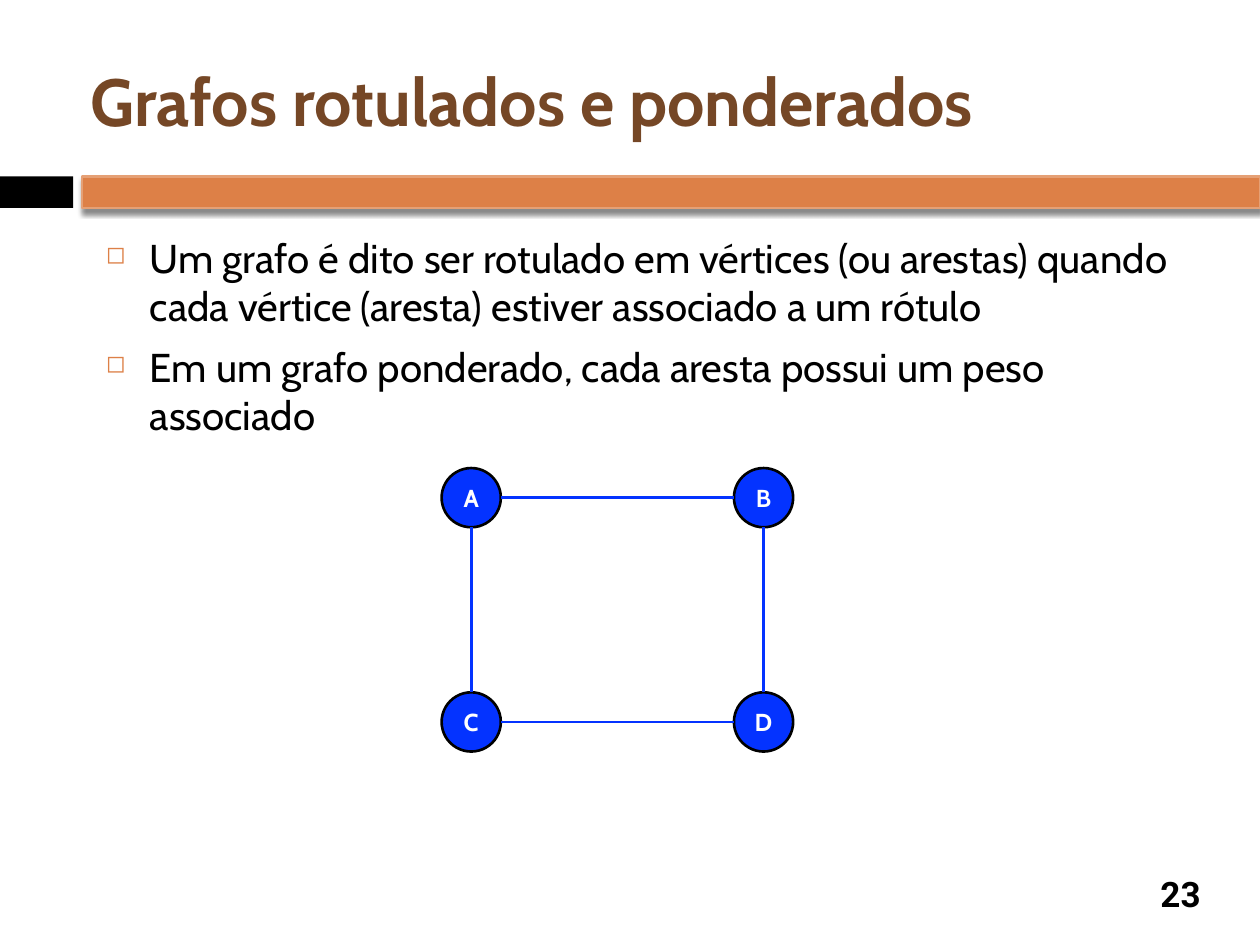
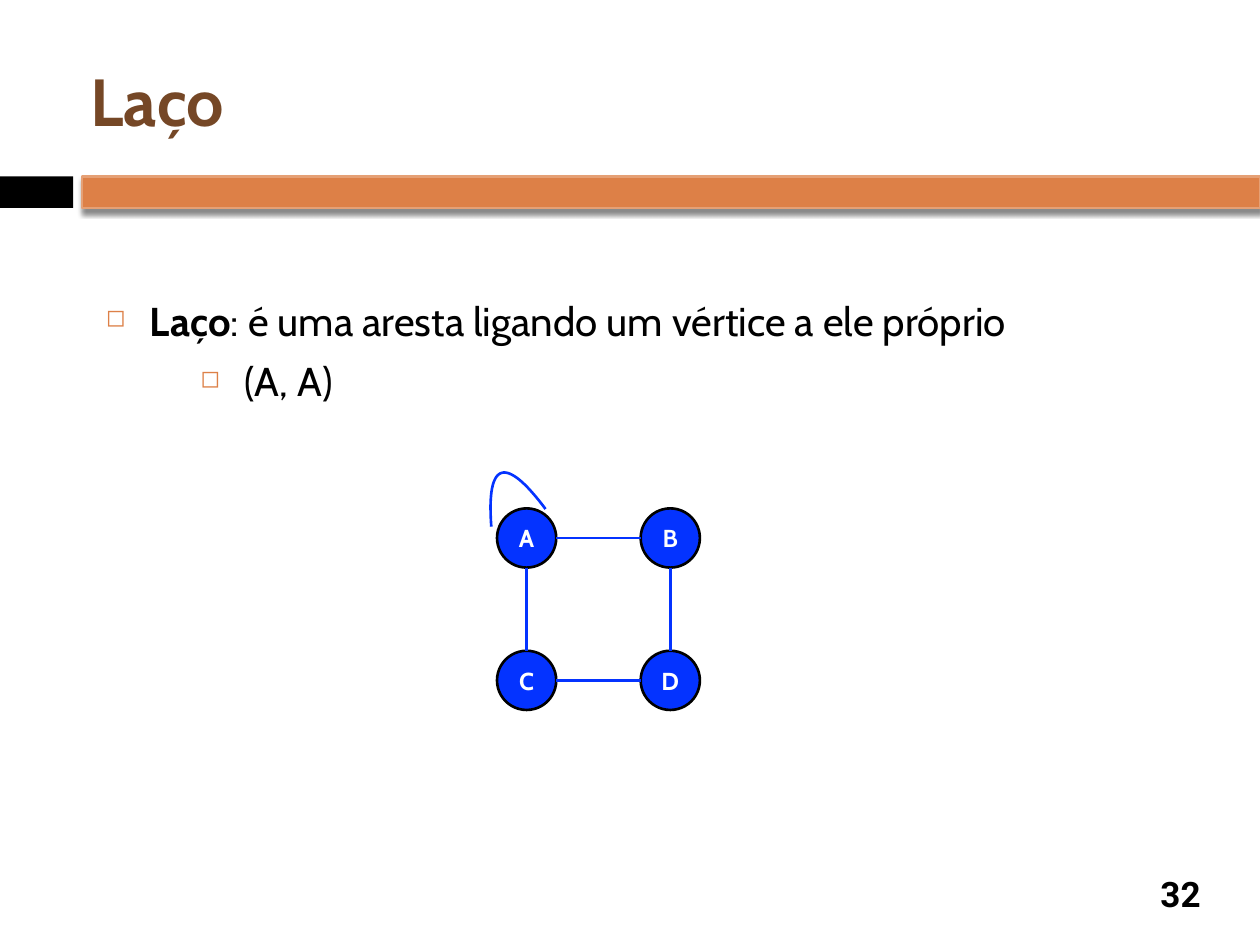
import pptx
import pptx.util
import pptx.dml.color
import pptx.enum.shapes
import pptx.enum.text
import pptx.oxml.ns
from lxml import etree

# Content: body runs are (text, bold), node centres come from a 2 x 2 grid
SLIDES = [
    dict(title="Grafos rotulados e ponderados", number="23", body_top=1.8, body_height=1.45,
         body=[(0, [("Um grafo é dito ser rotulado em vértices (ou arestas) quando "
                     "cada vértice (aresta) estiver associado a um rótulo", False)]),
               (0, [("Em um grafo ponderado, cada aresta possui um peso associado", False)])],
         origin=(3.74, 3.95), pitch=(2.32, 1.78), loop=None),
    dict(title="Laço", number="32", body_top=2.3, body_height=1.25,
         body=[(0, [("Laço", True), (": é uma aresta ligando um vértice a ele próprio", False)]),
               (1, [("(A, A)", False)])],
         origin=(4.18, 4.27), pitch=(1.14, 1.13),
         loop=[(4.33, 4.04), (4.01, 3.61), (3.86, 3.66), (3.9, 4.18)]),
]
NODES = {"A": (0, 0), "B": (1, 0), "C": (0, 1), "D": (1, 1)}
EDGES = ["AB", "CD", "AC", "BD"]

THEME = dict(
    font="Cabin", number_font="Roboto",
    title="754726", text="000000", accent="DD8047", accent_line="E5A075",
    node="0433FF", node_text="FFFFFF",
    title_size=38, body_size=23, number_size=20, node_size=14, line=1.5,
)
WIDTH, HEIGHT = 10, 7.5
BAND_TOP, BAND_HEIGHT, BAND_SPLIT = 1.4, 0.25, (0.58, 0.65)
NODE = 0.47
INSET = 0.05
LEVEL_INDENT, HANGING = (0.35, 1.1), 0.35

Inches, Pt = pptx.util.Inches, pptx.util.Pt
SHAPE = pptx.enum.shapes.MSO_SHAPE
CENTER = pptx.enum.text.PP_ALIGN.CENTER
MIDDLE = pptx.enum.text.MSO_ANCHOR.MIDDLE


def rgb(name):
    return pptx.dml.color.RGBColor.from_string(THEME[name])


def add_xml(parent, tag, **attributes):
    return etree.SubElement(parent, pptx.oxml.ns.qn(tag), attributes)


def set_line(line, color):
    line.color.rgb = rgb(color)
    line.width = Pt(THEME["line"])


def style(r, size, color, bold=True, font="font"):
    r.font.name, r.font.size, r.font.bold = THEME[font], Pt(THEME[size]), bold
    r.font.color.rgb = rgb(color)


def prepare(sp, anchor=MIDDLE):
    tf = sp.text_frame
    tf.word_wrap, tf.vertical_anchor = True, anchor
    tf.margin_left = tf.margin_right = tf.margin_top = tf.margin_bottom = Inches(INSET)
    return tf


def add_text(s, *box, anchor=MIDDLE):
    return prepare(s.shapes.add_textbox(*map(Inches, box)), anchor)


def add_shape(s, kind, box, fill, line=None):
    sp = s.shapes.add_shape(kind, *map(Inches, box))
    sp.fill.solid()
    sp.fill.fore_color.rgb = rgb(fill)
    if line:
        set_line(sp.line, line)
    else:
        sp.line.fill.background()
    sp.shadow.inherit = False
    return sp


def add_frame(s, title, number):
    # Two-part band under the title
    gap_left, gap_right = BAND_SPLIT
    add_shape(s, SHAPE.RECTANGLE, (0, BAND_TOP, gap_left, BAND_HEIGHT), "text")
    band = add_shape(s, SHAPE.RECTANGLE, (gap_right, BAND_TOP, WIDTH - gap_right, BAND_HEIGHT),
                     "accent", "accent_line")
    effects = band._element.spPr.find(pptx.oxml.ns.qn("a:effectLst"))
    shadow = add_xml(effects, "a:outerShdw", blurRad=str(Pt(3)), dist=str(Pt(2.4)),
                     dir="5400000", rotWithShape="0")
    add_xml(add_xml(shadow, "a:srgbClr", val=THEME["text"]), "a:alpha", val="45000")
    # Title and slide number
    tf = add_text(s, 0.67, 0.25, 8.92, 1.08)
    tf.text = title
    style(tf.paragraphs[0].runs[0], "title_size", "title")
    tf = add_text(s, 9.08, 6.89, 0.58, 0.41)
    tf.text = number
    tf.paragraphs[0].alignment = CENTER
    style(tf.paragraphs[0].runs[0], "number_size", "text", font="number_font")


def add_body(s, top, height, items):
    tf = add_text(s, 0.79, top, 8.68, height, anchor=pptx.enum.text.MSO_ANCHOR.TOP)
    for i, (level, runs) in enumerate(items):
        p = tf.add_paragraph() if i else tf.paragraphs[0]
        p.level = level
        if i:
            p.space_before = Pt(7)
        pPr = p._p.get_or_add_pPr()
        pPr.set("marL", str(Inches(LEVEL_INDENT[level])))
        pPr.set("indent", str(-Inches(HANGING)))
        add_xml(add_xml(pPr, "a:buClr"), "a:srgbClr", val=THEME["accent"])
        add_xml(pPr, "a:buSzPct", val="60000")
        add_xml(pPr, "a:buChar", char="◻")
        for text, bold in runs:
            r = p.add_run()
            r.text = text
            style(r, "body_size", "text", bold)


def add_graph(s, origin, pitch):
    centers = {name: [o + cell * step for o, cell, step in zip(origin, cells, pitch)]
               for name, cells in NODES.items()}
    # Vertices
    for name, (x, y) in centers.items():
        sp = add_shape(s, SHAPE.OVAL, (x - NODE / 2, y - NODE / 2, NODE, NODE), "node", "text")
        tf = prepare(sp)
        tf.text = name
        tf.paragraphs[0].alignment = CENTER
        style(tf.paragraphs[0].runs[0], "node_size", "node_text")
    # Edges run from rim to rim
    for start, end in EDGES:
        (x1, y1), (x2, y2) = centers[start], centers[end]
        dx, dy = (NODE / 2, 0) if y1 == y2 else (0, NODE / 2)
        edge = s.shapes.add_connector(pptx.enum.shapes.MSO_CONNECTOR.STRAIGHT,
                                      *map(Inches, (x1 + dx, y1 + dy, x2 - dx, y2 - dy)))
        set_line(edge.line, "node")
        add_xml(edge._element.spPr, "a:effectLst")


def add_loop(s, controls, steps=32):
    # Cubic curve through its four control points
    def point(t):
        weights = ((1 - t) ** 3, 3 * t * (1 - t) ** 2, 3 * t * t * (1 - t), t ** 3)
        return [Inches(sum(w * c for w, c in zip(weights, axis))) for axis in zip(*controls)]

    points = [point(i / steps) for i in range(steps + 1)]
    builder = s.shapes.build_freeform(*points[0])
    builder.add_line_segments(points[1:], close=False)
    loop = builder.convert_to_shape()
    loop.fill.background()
    set_line(loop.line, "node")
    loop.shadow.inherit = False


def main():
    prs = pptx.Presentation()
    prs.slide_width, prs.slide_height = Inches(WIDTH), Inches(HEIGHT)
    for page in SLIDES:
        s = prs.slides.add_slide(prs.slide_layouts[6])
        add_frame(s, page["title"], page["number"])
        add_body(s, page["body_top"], page["body_height"], page["body"])
        add_graph(s, page["origin"], page["pitch"])
        if page["loop"]:
            add_loop(s, page["loop"])
    prs.save("out.pptx")


if __name__ == "__main__":
    main()
